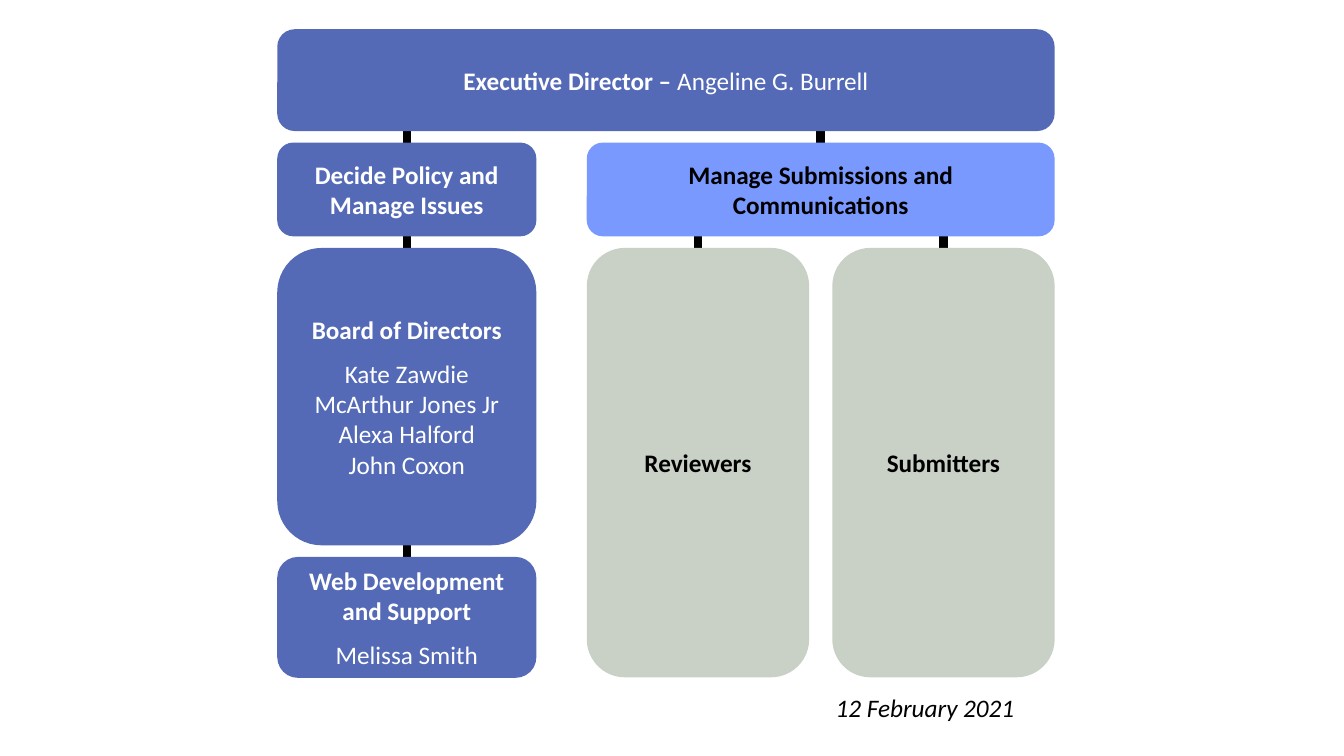
from pptx import Presentation
from pptx.dml.color import RGBColor
from pptx.enum.shapes import MSO_CONNECTOR, MSO_SHAPE
from pptx.enum.text import MSO_ANCHOR, PP_ALIGN
from pptx.util import Inches, Pt
from lxml import etree

HUES = {"navy": "546AB7", "sky": "7999FF", "sage": "C9D0C6",
        "white": "FFFFFF", "black": "000000"}

# Content: key -> (heading, text on the same line, names below, fill, ink)
ROLES = {
    "chief": ("Executive Director – ", "Angeline G. Burrell", [], "navy", "white"),
    "policy": ("Decide Policy and Manage Issues", "", [], "navy", "white"),
    "board": ("Board of Directors", "",
              ["Kate Zawdie", "McArthur Jones Jr", "Alexa Halford", "John Coxon"],
              "navy", "white"),
    "web": ("Web Development and Support", "", ["Melissa Smith"], "navy", "white"),
    "comms": ("Manage Submissions and Communications", "", [], "sky", "black"),
    "review": ("Reviewers", "", [], "sage", "black"),
    "submit": ("Submitters", "", [], "sage", "black"),
}
LINKS = [("chief", "policy"), ("chief", "comms"), ("policy", "board"),
         ("board", "web"), ("comms", "review"), ("comms", "submit")]
DATE = "12 February 2021"

# Layout: two branches of columns, rows stacked with one gap
LEFT, RIGHT, TOP, FOOT = 2.75, 10.46, 0.29, 6.72
GAP, SIDE, FORK = 0.115, 2.57, 5.82
tall = {"chief": 1.01, "policy": 0.93, "board": 2.95, "web": 1.2}
rows, y = {}, TOP
for key, h in tall.items():
    rows[key] = y
    y += h + GAP
wide = RIGHT - FORK
half = (wide - 2 * GAP) / 2
deep = FOOT - rows["board"]
PLACES = {key: (LEFT, rows[key], SIDE, tall[key]) for key in tall}
PLACES["chief"] = (LEFT, TOP, RIGHT - LEFT, tall["chief"])
PLACES["comms"] = (FORK, rows["policy"], wide, tall["policy"])
PLACES["review"] = (FORK, rows["board"], half, deep)
PLACES["submit"] = (RIGHT - half, rows["board"], half, deep)


def tint(name):
    return RGBColor.from_string(HUES[name])


def write(para, text, ink, bold=False, slant=False):
    para.alignment = PP_ALIGN.CENTER
    run = para.add_run()
    run.text = text
    font = run.font
    font.name, font.size = "Calibri", Pt(18)
    font.bold, font.italic = bold, slant
    font.color.rgb = tint(ink)


def link(slide, upper, lower):
    _, top, _, high = PLACES[upper]
    left, end, width, _ = PLACES[lower]
    x = Inches(left + width / 2)
    line = slide.shapes.add_connector(
        MSO_CONNECTOR.STRAIGHT, x, Inches(top + high), x, Inches(end))
    line.line.color.rgb = tint("black")
    line.line.width = Pt(6)
    props = line._element.spPr
    etree.SubElement(props, props.tag.replace("}spPr", "}effectLst").replace(
        "presentationml", "drawingml").replace("/2006/main", "/2006/main"))


def box(slide, key):
    head, tail, names, fill, ink = ROLES[key]
    shape = slide.shapes.add_shape(
        MSO_SHAPE.ROUNDED_RECTANGLE, *[Inches(v) for v in PLACES[key]])
    shape.adjustments[0] = 0.171
    shape.shadow.inherit = False
    shape.fill.solid()
    shape.fill.fore_color.rgb = tint(fill)
    shape.line.fill.background()
    frame = shape.text_frame
    frame.word_wrap = True
    frame.vertical_anchor = MSO_ANCHOR.MIDDLE
    write(frame.paragraphs[0], head, ink, bold=True)
    if tail:
        write(frame.paragraphs[0], tail, ink)
    for i, name in enumerate(names):
        para = frame.add_paragraph()
        para.space_before = Pt(0 if i else 9.8)
        write(para, name, ink)


deck = Presentation()
deck.slide_width, deck.slide_height = Inches(13.33), Inches(7.5)
slide = deck.slides.add_slide(deck.slide_layouts[6])

# Links, then boxes
for upper, lower in LINKS:
    link(slide, upper, lower)
for key in ROLES:
    box(slide, key)

# Date
note = slide.shapes.add_textbox(
    Inches(RIGHT - SIDE), Inches(6.82), Inches(SIDE), Inches(0.4))
note.text_frame.word_wrap = True
write(note.text_frame.paragraphs[0], DATE, "black", slant=True)

deck.save("out.pptx")
